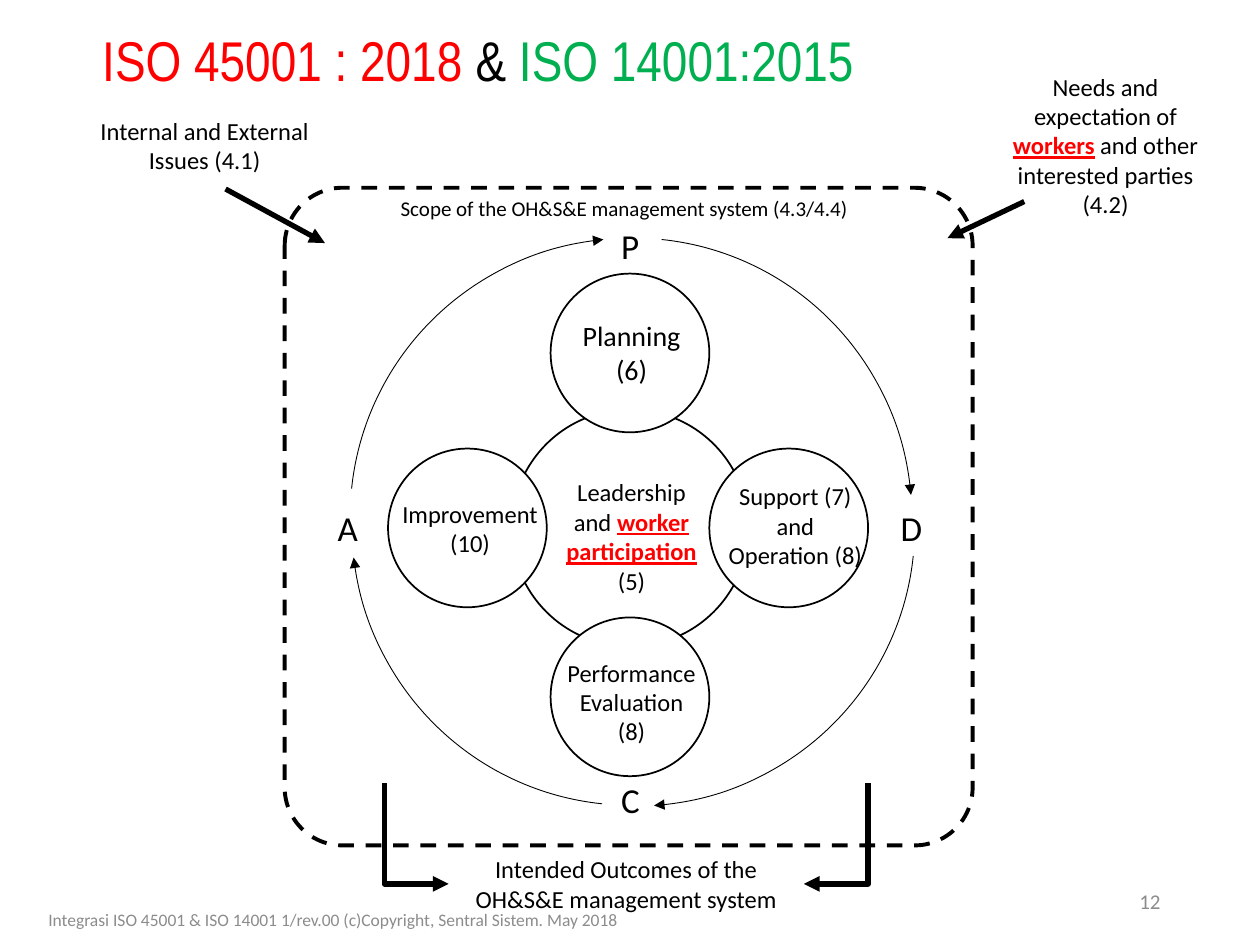
import pptx
import pptx.dml.color
import pptx.enum.dml
import pptx.enum.shapes
import pptx.enum.text
import pptx.oxml
import pptx.oxml.ns
import pptx.util

Pt = pptx.util.Pt
SHAPE = pptx.enum.shapes.MSO_SHAPE
CONNECTOR = pptx.enum.shapes.MSO_CONNECTOR
ALIGN = pptx.enum.text.PP_ALIGN
ANCHOR = pptx.enum.text.MSO_ANCHOR
FIT = pptx.enum.text.MSO_AUTO_SIZE

COLORS = {"ink": "000000", "paper": "FFFFFF", "red": "FF0000",
          "green": "00B050", "grey": "8C8C8C"}


def rgb(name):
    return pptx.dml.color.RGBColor.from_string(COLORS[name])


def fill_text(frame, text, size=14, font="Calibri", color="ink",
              align=ALIGN.CENTER, anchor=ANCHOR.TOP, wrap=True, fit=FIT.SHAPE_TO_FIT_TEXT):
    """Text is a string, one paragraph a line, or a list of (text, color, strong) spans."""
    frame.word_wrap = wrap
    frame.auto_size = fit
    frame.vertical_anchor = anchor
    if isinstance(text, str):
        paragraphs = [[(line, color, False)] for line in text.split("\n")]
    else:
        paragraphs = [text]
    for index, spans in enumerate(paragraphs):
        para = frame.add_paragraph() if index else frame.paragraphs[0]
        para.alignment = align
        for words, span_color, strong in spans:
            span = para.add_run()
            span.text = words
            span.font.size = Pt(size)
            span.font.name = font
            span.font.color.rgb = rgb(span_color)
            span.font.bold = span.font.underline = strong


def add_text(slide, left, top, width, height, text, **style):
    box = slide.shapes.add_textbox(Pt(left), Pt(top), Pt(width), Pt(height))
    fill_text(box.text_frame, text, **style)


def add_outline(slide, kind, left, top, width, height, weight, fill=None):
    shape = slide.shapes.add_shape(kind, Pt(left), Pt(top), Pt(width), Pt(height))
    shape.shadow.inherit = False
    if fill:
        shape.fill.solid()
        shape.fill.fore_color.rgb = rgb(fill)
    else:
        shape.fill.background()
    shape.line.color.rgb = rgb("ink")
    shape.line.width = Pt(weight)
    return shape


def add_arrowhead(shape):
    shape._element.spPr.get_or_add_ln().append(pptx.oxml.parse_xml(
        f'<a:tailEnd {pptx.oxml.ns.nsdecls("a")} type="triangle"/>'))


def add_arrow(slide, kind, x1, y1, x2, y2):
    arrow = slide.shapes.add_connector(kind, Pt(x1), Pt(y1), Pt(x2), Pt(y2))
    arrow.line.color.rgb = rgb("ink")
    arrow.line.width = Pt(3)
    add_arrowhead(arrow)
    arrow._element.spPr.append(pptx.oxml.parse_xml(
        f'<a:effectLst {pptx.oxml.ns.nsdecls("a")}/>'))
    return arrow


def add_corner_arrow(slide, x, y, run, drop):
    """Arrow going down by drop, then sideways by run (negative for left)."""
    middle_x, middle_y = x + run / 2, y + drop / 2
    half_width, half_height = drop / 2, abs(run) / 2
    side = -1 if run > 0 else 1
    arrow = add_arrow(slide, CONNECTOR.ELBOW,
                      middle_x - side * half_width, middle_y - half_height,
                      middle_x + side * half_width, middle_y + half_height)
    properties = arrow._element.spPr
    properties.find(pptx.oxml.ns.qn("a:xfrm")).set("rot", str((180 - 90 * side) * 60000))
    properties.find(pptx.oxml.ns.qn("a:prstGeom")).set("prst", "bentConnector2")


def write_title(slide, left, top, width, height):
    title = slide.shapes.title
    title.left, title.top, title.width, title.height = map(Pt, (left, top, width, height))
    fill_text(title.text_frame,
              [("ISO 45001 : 2018 ", "red", False), ("& ", "ink", False),
               ("ISO 14001:2015", "green", False)],
              size=32, font="Arial Narrow", wrap=False)


def draw_scope(slide, left, top, width, height):
    frame = add_outline(slide, SHAPE.ROUNDED_RECTANGLE, left, top, width, height, 2.25)
    frame.adjustments[0] = 0.088
    frame.line.dash_style = pptx.enum.dml.MSO_LINE.DASH
    add_text(slide, left + 3.5, top + 0.7, width - 12, 21.6,
             "Scope of the OH&S&E management system (4.3/4.4)", size=12)


def draw_cycle(slide, left, top, width, height):
    x, y = left + width / 2, top + height / 2

    hub, ring = 135.4, 90.7
    add_outline(slide, SHAPE.OVAL, x - hub / 2, y - hub / 2, hub, hub, 1)
    for dx, dy in ((0, -100), (0, 96.5), (90.7, 0), (-92.9, 0)):
        add_outline(slide, SHAPE.OVAL, x + dx - ring / 2, y + dy - ring / 2,
                    ring, ring, 1, fill="paper")

    for letter, dx, dy in (("P", -12.2, -177.1), ("D", 147.6, -15.9),
                           ("A", -174.2, -15.9), ("C", -12.2, 139.7)):
        add_text(slide, x + dx, y + dy, 25.2, 31.7, letter, size=20, align=ALIGN.LEFT)

    for rotation, dx, dy, end in ((270, -158.4, -167.1, 354.27), (0, -157, -165.6, 355.03),
                                  (90, -157, -160.6, 355.8), (180, -159.1, -162.7, 353.13)):
        arc = add_outline(slide, SHAPE.ARC, x + dx, y + dy, 318.2, 321.1, 0.5)
        arc.rotation = rotation
        # Angles are stored in 60000ths of a degree, adjustments in 100000ths.
        arc.adjustments[0] = 275.73 * 0.6
        arc.adjustments[1] = end * 0.6
        add_arrowhead(arc)

    leadership = [("Leadership and ", "ink", False), ("worker participation ", "red", True),
                  ("(5)", "ink", False)]
    for text, dx, dy, wide, high, size in (
            ("Planning\n(6)", -44.6, -123.1, 91, 46.1, 16),
            ("Support (7) and Operation (8)", 49, -30.3, 91, 58.3, 14),
            (leadership, -44.6, -32.4, 91, 74.9, 14),
            ("Performance Evaluation (8)", -44.6, 70.5, 91, 58.3, 14),
            ("Improvement (10)", -141.1, -20.2, 99.4, 41, 14)):
        add_text(slide, x + dx, y + dy, wide, high, text, size=size)


def draw_issues(slide, left, top, width, height):
    add_text(slide, left, top, width, height, "Internal and External Issues (4.1)")
    add_arrow(slide, CONNECTOR.STRAIGHT, left + 80.7, top + 45.4, left + 137.5, top + 76.3)


def draw_needs(slide, left, top, width, height):
    add_text(slide, left, top, width, height,
             [("Needs and expectation of ", "ink", False), ("workers", "red", True),
              (" and other interested parties (4.2)", "ink", False)])
    add_arrow(slide, CONNECTOR.STRAIGHT, left + 22.3, top + 77.8, left - 21.6, top + 98.7)


def draw_outcomes(slide, left, top, width, height):
    add_text(slide, left, top, width, height,
             "Intended Outcomes of the OH&S&E management system")
    run, drop = 36.7, 57.6
    start = top + height / 2 - drop
    add_corner_arrow(slide, left + width + run, start, -run, drop)
    add_corner_arrow(slide, left - run, start, run, drop)


def write_footer(slide, left, top, width, height):
    style = {"color": "grey", "anchor": ANCHOR.MIDDLE, "fit": FIT.NONE}
    add_text(slide, left + width - 162, top, 162, 28.8, "12",
             size=12, align=ALIGN.RIGHT, **style)
    add_text(slide, left, top + height - 28.8, 365.8, 28.8,
             "Integrasi ISO 45001 & ISO 14001 1/rev.00 (c)Copyright, Sentral Sistem. May 2018",
             size=10, **style)


def main():
    deck = pptx.Presentation()
    deck.slide_width, deck.slide_height = Pt(720), Pt(540)
    slide = deck.slides.add_slide(deck.slide_layouts[5])
    write_title(slide, 48.2, 10.8, 450, 46.1)
    draw_scope(slide, 162.7, 107.3, 393.1, 375.8)
    draw_cycle(slide, 180, 121.7, 360, 360)
    draw_issues(slide, 48.2, 62.6, 137.5, 41)
    draw_needs(slide, 563, 37.4, 137.5, 92.2)
    draw_outcomes(slide, 256.3, 484.6, 203, 41)
    write_footer(slide, 7.2, 500.4, 663.1, 39.6)
    deck.save("out.pptx")


if __name__ == "__main__":
    main()
